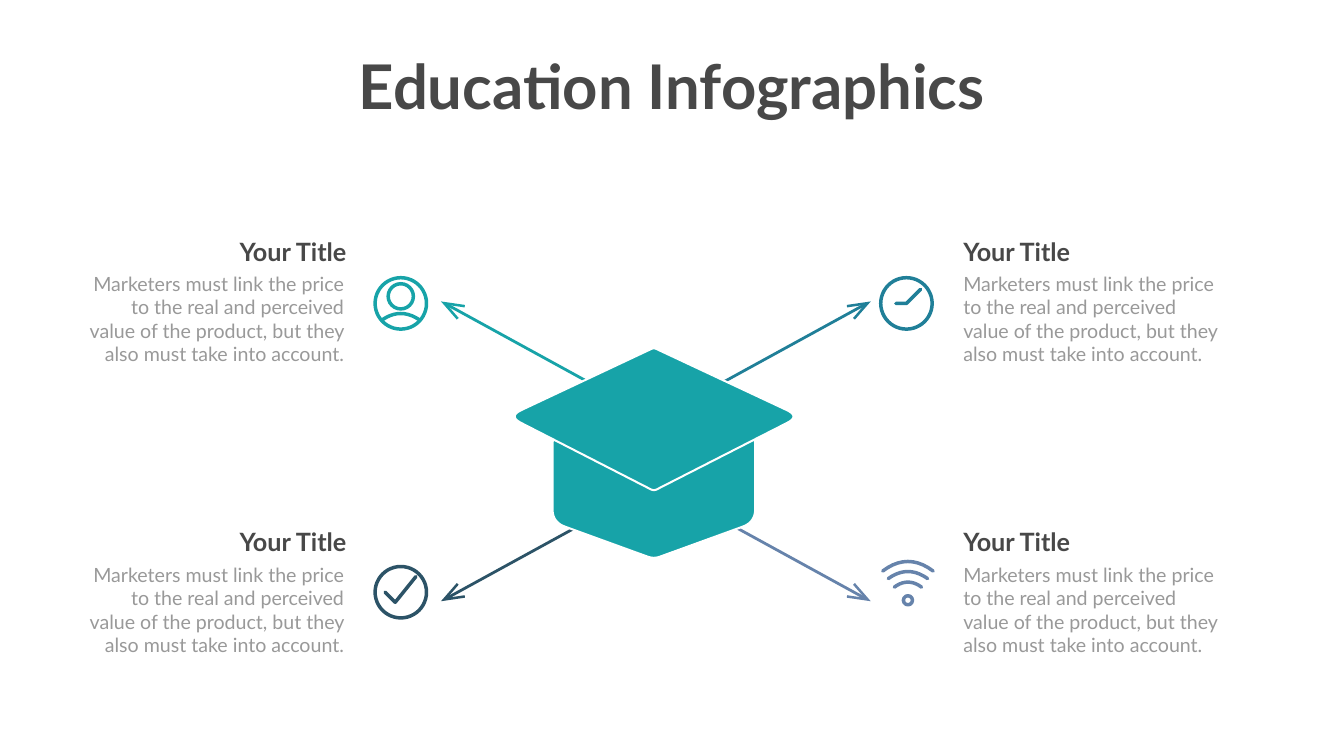
from math import hypot
from lxml.etree import SubElement
from pptx import Presentation
from pptx.dml.color import RGBColor
from pptx.enum.shapes import MSO_CONNECTOR, MSO_SHAPE
from pptx.enum.text import MSO_AUTO_SIZE, PP_ALIGN
from pptx.oxml.ns import qn
from pptx.util import Inches, Pt

TEAL = RGBColor(0x17, 0xA3, 0xA8)
BLUE = RGBColor(0x20, 0x7F, 0x98)
NAVY = RGBColor(0x2C, 0x53, 0x67)
LILAC = RGBColor(0x66, 0x83, 0xAB)
DARK = RGBColor(0x48, 0x48, 0x48)
GRAY = RGBColor(0x99, 0x99, 0x99)
WHITE = RGBColor(0xFF, 0xFF, 0xFF)
COLS, ROWS = 26.66, 15
MID, AXIS = 13.01, 8.955
DROP = 5.77
BODY = ("Marketers must link the price to the real and perceived value "
        "of the product, but they also must take into account.")


def bend(start, pull, end, steps=10):
    """Return points along a quadratic curve from start to end."""
    points = []
    for i in range(steps + 1):
        t = i / steps
        points.append(tuple((1 - t) ** 2 * a + 2 * t * (1 - t) * b + t * t * c
                            for a, b, c in zip(start, pull, end)))
    return points


def toward(a, b, dist):
    """Return the point at a distance from a on the way to b."""
    part = dist / hypot(b[0] - a[0], b[1] - a[1])
    return a[0] + (b[0] - a[0]) * part, a[1] + (b[1] - a[1]) * part


class Deck:
    """Draws styled elements on a slide with a grid of 26.66 by 15 cells."""

    def __init__(self):
        self.file = Presentation()
        self.file.slide_width, self.file.slide_height = Inches(COLS), Inches(ROWS)
        self.slide = self.file.slides.add_slide(self.file.slide_layouts[6])
        self.shapes = self.slide.shapes
        self.font = "Lato"

    def outline(self, shape, color, width, join="round"):
        """Set the line of a shape with its cap and join."""
        shape.line.color.rgb = color
        shape.line.width = Pt(width)
        line = shape.line._get_or_add_ln()
        line.set("cap", "rnd" if join == "round" else "flat")
        SubElement(line, qn(f"a:{join}"))

    def trace(self, points, closed=False):
        """Build a freeform through grid points."""
        spots = [(Inches(x), Inches(y)) for x, y in points]
        pen = self.shapes.build_freeform(*spots[0])
        pen.add_line_segments(spots[1:], close=closed)
        shape = pen.convert_to_shape()
        shape.shadow.inherit = False
        return shape

    def stroke(self, points, color, width=5, join="round"):
        """Draw an open line through grid points."""
        shape = self.trace(points)
        shape.fill.background()
        self.outline(shape, color, width, join)

    def arch(self, x, top, half, rise, color):
        """Draw an upward curve centred on x."""
        low = top + rise
        self.stroke(bend((x - half, low), (x, top - rise), (x + half, low)), color)

    def ring(self, x, y, radius, color):
        """Draw a circle outline around a centre."""
        box = [Inches(v) for v in (x - radius, y - radius, 2 * radius, 2 * radius)]
        shape = self.shapes.add_shape(MSO_SHAPE.OVAL, *box)
        shape.shadow.inherit = False
        shape.fill.background()
        self.outline(shape, color, 5)

    def panel(self, corners, color):
        """Fill a polygon whose corners (x, y, cut) are rounded."""
        points = []
        for i, (x, y, cut) in enumerate(corners):
            here, back, ahead = (x, y), corners[i - 1], corners[(i + 1) % len(corners)]
            points += bend(toward(here, back, cut), here, toward(here, ahead, cut))
        shape = self.trace(points, True)
        shape.fill.solid()
        shape.fill.fore_color.rgb = color
        self.outline(shape, WHITE, 2.89)

    def arrow(self, side, way, color):
        """Draw an open arrow outward from the cap, side and way being 1 or -1."""
        def spot(x, y):
            return MID + side * x, AXIS + way * y

        ends = [Inches(v) for v in spot(0, 0.64) + spot(4.14, 2.91)]
        shaft = self.shapes.add_connector(MSO_CONNECTOR.STRAIGHT, *ends)
        self.outline(shaft, color, 4, "miter")
        SubElement(shaft._element.spPr, qn("a:effectLst"))
        head = [spot(3.79, 2.88), spot(4.2, 2.94), spot(3.93, 2.63)]
        self.stroke(head, color, 3.6, "miter")

    def text(self, words, x, y, w, h, size, color, align, bold=False, wrap=True):
        """Place one paragraph of text in a box."""
        frame = self.shapes.add_textbox(*[Inches(v) for v in (x, y, w, h)]).text_frame
        frame.word_wrap = wrap
        frame.auto_size = MSO_AUTO_SIZE.SHAPE_TO_FIT_TEXT
        line = frame.paragraphs[0]
        line.text = words
        line.alignment = align
        line.font.name, line.font.size = self.font, Pt(size)
        line.font.bold, line.font.color.rgb = bold, color


def main():
    """Build the slide and save it."""
    deck = Deck()
    for side, way, color in ((1, -1, BLUE), (-1, -1, TEAL), (1, 1, LILAC), (-1, 1, NAVY)):
        deck.arrow(side, way, color)

    deck.panel([(10.96, 8.46, 0.38), (14.98, 8.46, 0.38), (14.98, 10.36, 0.26),
                (12.97, 11.09, 0.13), (10.96, 10.36, 0.26)], TEAL)
    deck.panel([(12.97, 6.9, 0.06), (15.87, 8.26, 0.29),
                (12.97, 9.74, 0.07), (10.08, 8.26, 0.29)], TEAL)

    deck.ring(7.95, 6.02, 0.51, TEAL)
    deck.ring(7.95, 5.88, 0.25, TEAL)
    deck.arch(7.95, 6.22, 0.36, 0.12, TEAL)

    deck.ring(17.98, 6.02, 0.51, BLUE)
    deck.stroke([(17.77, 6.02), (17.98, 6.02), (18.26, 5.74)], BLUE)

    deck.ring(7.95, 11.75, 0.51, NAVY)
    deck.stroke([(7.64, 11.75), (7.84, 11.95), (8.25, 11.44)], NAVY)

    for top, half, rise in ((11.14, 0.5, 0.19), (11.34, 0.39, 0.14), (11.55, 0.27, 0.1)):
        deck.arch(18.01, top, half, rise, LILAC)
    deck.ring(18.01, 11.91, 0.09, LILAC)

    for row in range(2):
        y = 4.63 + row * DROP
        for body, head, align in ((1.54, 2.64, PP_ALIGN.RIGHT),
                                  (19.01, 19.01, PP_ALIGN.LEFT)):
            deck.text(BODY, body, y + 0.71, 5.38, 1.99, 28, GRAY, align)
            deck.text("Your Title", head, y, 4.33, 0.71, 36, DARK, align, True)
    deck.text("Education Infographics", 6.88, 0.91, 12.89, 1.58, 88, DARK,
              PP_ALIGN.CENTER, True, False)
    deck.file.save("out.pptx")


if __name__ == "__main__":
    main()
